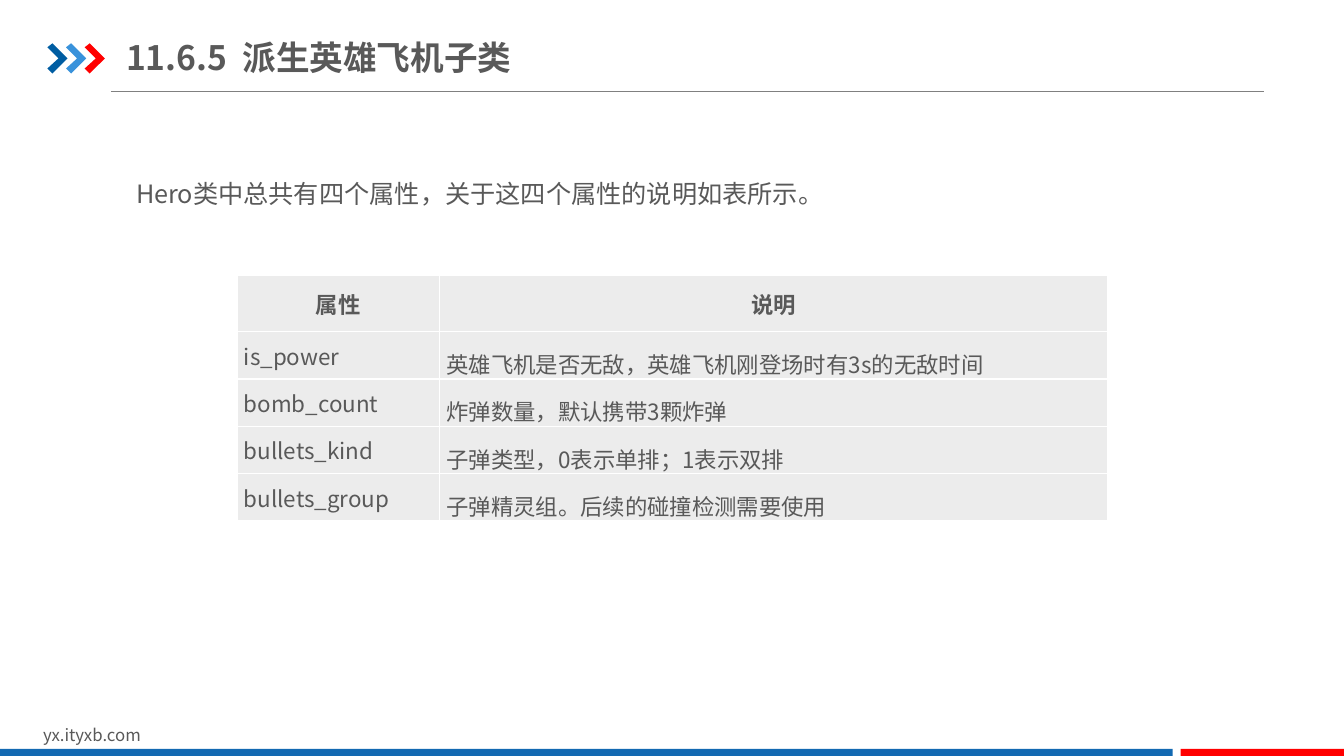
"""Build the slide on the attributes of the Hero subclass."""
from lxml import etree
from pptx import Presentation
from pptx.dml.color import RGBColor
from pptx.enum.shapes import MSO_CONNECTOR, MSO_SHAPE
from pptx.enum.text import MSO_ANCHOR, MSO_AUTO_SIZE, PP_ALIGN
from pptx.oxml.ns import qn
from pptx.util import Inches, Pt

TITLE = "11.6.5  派生英雄飞机子类"
INTRO = "Hero类中总共有四个属性，关于这四个属性的说明如表所示。"
SITE = "yx.ityxb.com"
ROWS = [
    ("属性", "说明"),
    ("is_power", "英雄飞机是否无敌，英雄飞机刚登场时有3s的无敌时间"),
    ("bomb_count", "炸弹数量，默认携带3颗炸弹"),
    ("bullets_kind", "子弹类型，0表示单排；1表示双排"),
    ("bullets_group", "子弹精灵组。后续的碰撞检测需要使用"),
]
HUES = {"text": "595959", "rule": "808080", "cell": "ECECEC", "edge": "FFFFFF",
        "navy": "005DA2", "sky": "3992DB", "red": "FF0000", "blue": "1369B2"}
FONT = "Noto Sans CJK SC"
WIDE, HIGH = 13.33, 7.5
COLS = (2.01, 6.63)
HEAD, ROW = 0.56, 0.47
BAR, GAP = 0.09, 0.08
SPLIT = 11.63
STEP = 0.185
CHEVRON = [(0, 0.04), (0.05, 0), (0.2, 0.15), (0.05, 0.3), (0, 0.25), (0.11, 0.15)]
LEFT, CENTER, JUSTIFY = PP_ALIGN.LEFT, PP_ALIGN.CENTER, PP_ALIGN.JUSTIFY
TOP, MIDDLE = MSO_ANCHOR.TOP, MSO_ANCHOR.MIDDLE
NONE, GROW = MSO_AUTO_SIZE.NONE, MSO_AUTO_SIZE.SHAPE_TO_FIT_TEXT
STRAIGHT, RECT = MSO_CONNECTOR.STRAIGHT, MSO_SHAPE.RECTANGLE


def assign(item, **vals):
    """Set every given attribute on the item."""
    for key, val in vals.items():
        setattr(item, key, val)


def hue(name):
    """Return a named colour."""
    return RGBColor.from_string(HUES[name])


def pads(x, y):
    """Return margins for the sides and for top and bottom."""
    return {"margin_left": Inches(x), "margin_right": Inches(x),
            "margin_top": Inches(y), "margin_bottom": Inches(y)}


def write(frame, text, size, bold=False, align=LEFT, space=1.0):
    """Fill a text frame with one styled paragraph."""
    para = frame.paragraphs[0]
    assign(para, alignment=align, line_spacing=space)
    run = para.add_run()
    run.text = text
    assign(run.font, name=FONT, size=Pt(size), bold=bold)
    run.font.color.rgb = hue("text")
    etree.SubElement(run.font._element, qn("a:ea"), typeface=FONT)


def place(shape, x, y, w, h):
    """Move and size a shape in inches."""
    assign(shape, left=Inches(x), top=Inches(y), width=Inches(w), height=Inches(h))


def paint(shape, name):
    """Give a shape a plain fill."""
    shape.shadow.inherit = False
    shape.fill.solid()
    shape.fill.fore_color.rgb = hue(name)
    shape.line.fill.background()


def label(slide, box, text, size, anchor=TOP, fit=NONE, inset=(0.1, 0.05), **style):
    """Add a text box."""
    frame = slide.shapes.add_textbox(*map(Inches, box)).text_frame
    assign(frame, word_wrap=True, auto_size=fit, vertical_anchor=anchor, **pads(*inset))
    write(frame, text, size, **style)


def edge(cell):
    """Draw the four borders of a cell."""
    props = cell._tc.get_or_add_tcPr()
    for side in "LRTB":
        line = etree.SubElement(props, qn("a:ln" + side), w=str(Pt(1)))
        fill = etree.SubElement(line, qn("a:solidFill"))
        etree.SubElement(fill, qn("a:srgbClr"), val=HUES["edge"])


def frame_slide(slide):
    """Add the rule, chevrons, site address and bottom bars."""
    rule = slide.shapes.add_connector(
        STRAIGHT, *map(Inches, (1.1, 0.91, 12.54, 0.91)))
    rule.line.color.rgb = hue("rule")
    rule.line.width = Pt(0.75)
    etree.SubElement(rule._element.spPr, qn("a:effectLst"))
    for i, name in enumerate(("navy", "sky", "red")):
        pts = [(Inches(0.47 + i * STEP + x), Inches(0.43 + y)) for x, y in CHEVRON]
        path = slide.shapes.build_freeform(*pts[0])
        path.add_line_segments(pts[1:], close=True)
        paint(path.convert_to_shape(), name)
    label(slide, (0.33, 7.14, 3.18, 0.3), SITE, 12, fit=GROW)
    right = SPLIT + GAP
    for x, w, name in ((0, SPLIT, "blue"), (right, WIDE - right, "red")):
        box = map(Inches, (x, HIGH - BAR + 0.02, w, BAR))
        paint(slide.shapes.add_shape(RECT, *box), name)


def add_grid(slide):
    """Add the table of attributes."""
    high = HEAD + ROW * (len(ROWS) - 1)
    box = map(Inches, (2.35, 2.73, sum(COLS), high))
    grid = slide.shapes.add_table(len(ROWS), len(COLS), *box).table
    for col, w in zip(grid.columns, COLS):
        col.width = Inches(w)
    for r, texts in enumerate(ROWS):
        grid.rows[r].height = Inches(ROW if r else HEAD)
        for c, text in enumerate(texts):
            cell = grid.cell(r, c)
            inset = pads(0.07, 0) if r else pads(0.1, 0.05)
            assign(cell, vertical_anchor=MIDDLE, **inset)
            edge(cell)
            cell.fill.solid()
            cell.fill.fore_color.rgb = hue("cell")
            write(cell.text_frame, text, 16, bold=r == 0,
                  align=LEFT if r else CENTER, space=1.5 if r and c else 1.0)


def main():
    """Build and save the deck."""
    deck = Presentation()
    assign(deck, slide_width=Inches(WIDE), slide_height=Inches(HIGH))
    slide = deck.slides.add_slide(deck.slide_layouts[5])
    frame_slide(slide)
    title = slide.shapes.title
    place(title, 1.25, 0.29, 5.02, 0.55)
    assign(title.text_frame, word_wrap=True, auto_size=NONE,
           vertical_anchor=MIDDLE, **pads(0, 0.07))
    write(title.text_frame, TITLE, 24, bold=True)
    label(slide, (1.22, 1.55, 9.46, 0.63), INTRO, 18, inset=(0.13, 0.07),
          align=JUSTIFY, space=1.5)
    add_grid(slide)
    deck.save("out.pptx")


if __name__ == "__main__":
    main()
